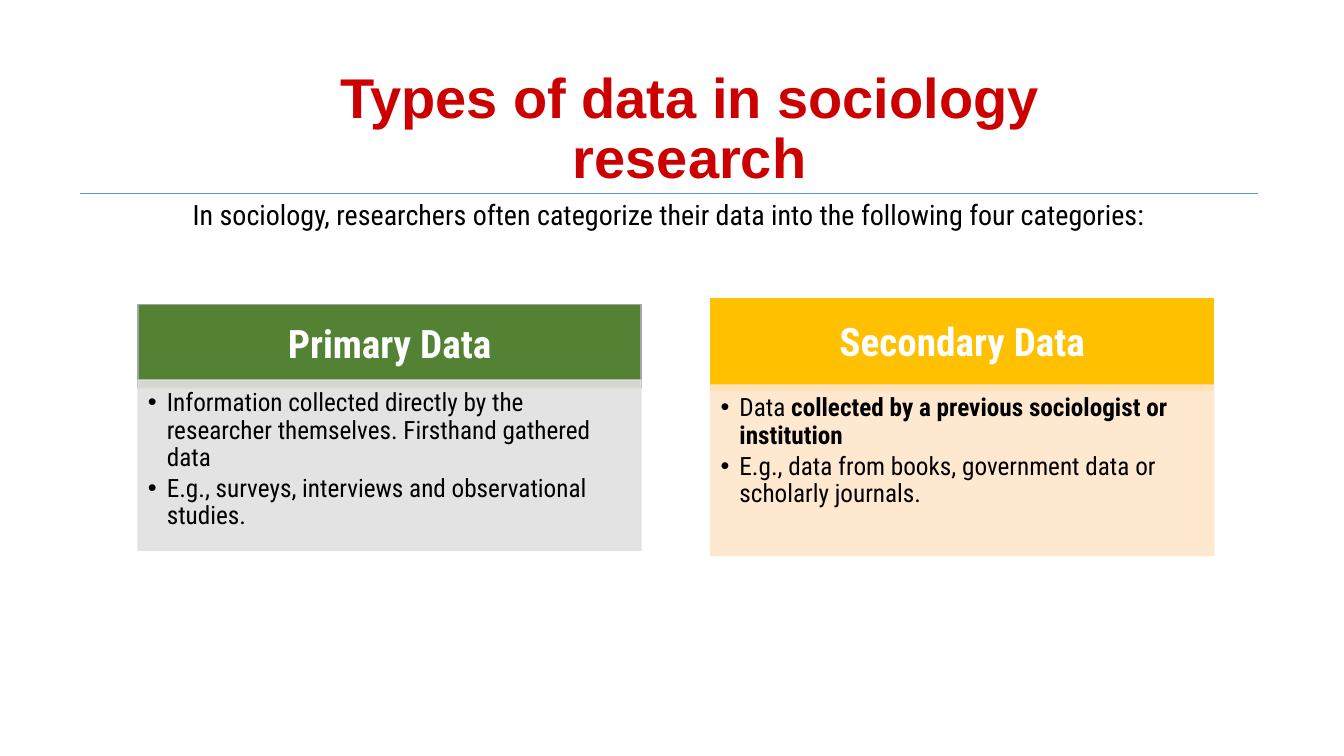
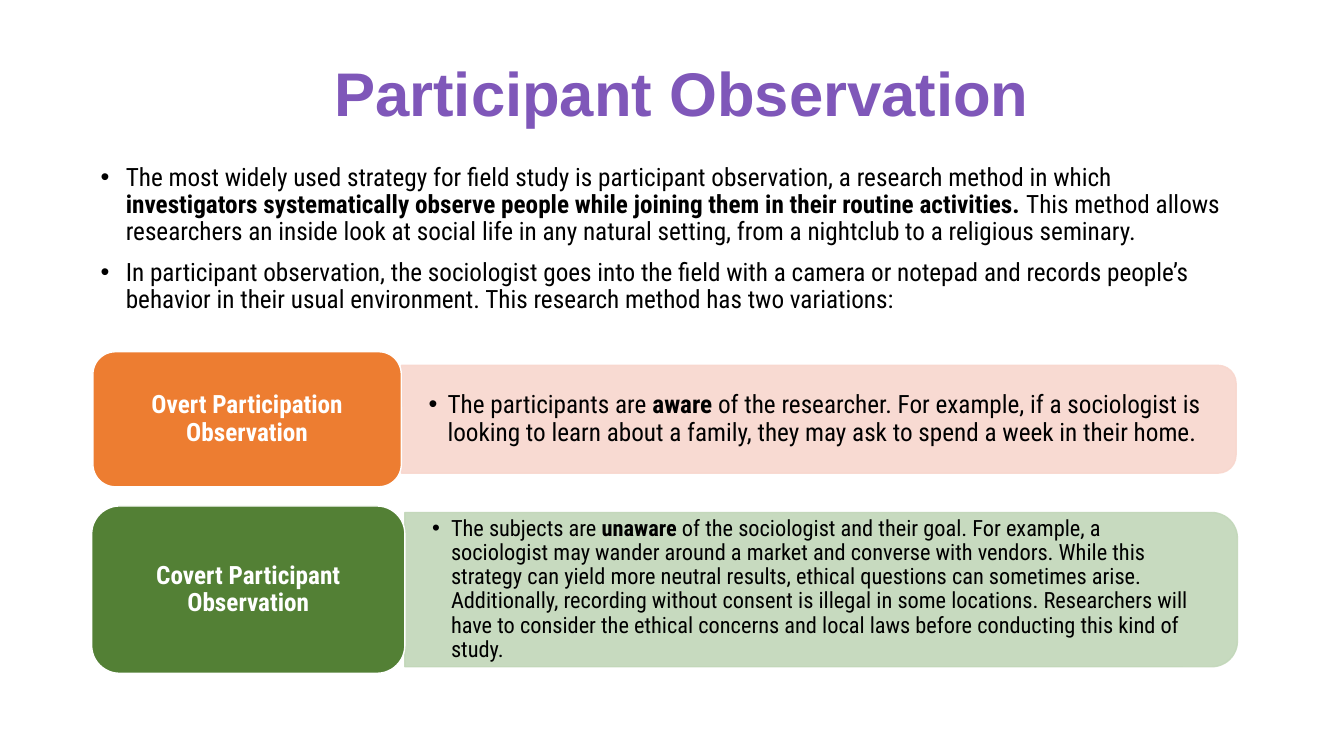
from lxml import etree
from pptx import Presentation
from pptx.dml.color import RGBColor
from pptx.enum.shapes import MSO_CONNECTOR, MSO_SHAPE
from pptx.enum.text import MSO_ANCHOR, PP_ALIGN
from pptx.oxml.ns import qn
from pptx.util import Pt

RECT = MSO_SHAPE.RECTANGLE
ROUNDED = MSO_SHAPE.ROUNDED_RECTANGLE
TWO_ROUNDED = MSO_SHAPE.ROUND_2_SAME_RECTANGLE
STRAIGHT = MSO_CONNECTOR.STRAIGHT
TOP, MIDDLE = MSO_ANCHOR.TOP, MSO_ANCHOR.MIDDLE
LEFT, CENTER = PP_ALIGN.LEFT, PP_ALIGN.CENTER

COLORS = {
    "white": "FFFFFF", "black": "000000", "red": "CC0000", "purple": "7F57B9",
    "rule": "5B9BD5", "green": "548235", "grey_edge": "A5A5A5",
    "grey": "E1E1E1", "gold": "FFC000", "cream": "FFE6CB",
    "orange": "ED7D31", "peach": "F8D7CE", "dark_green": "538035",
    "sage": "C2D7B9",
}
BODY_FONT, TITLE_FONT = "Roboto Condensed", "Arial"
CARD_W, CARD_BODY_H = 359.3, 121.7


def rgb(name):
    return RGBColor.from_string(COLORS[name])


def set_alpha(fill, percent):
    color = fill._xPr.find(qn("a:solidFill"))[0]
    etree.SubElement(color, qn("a:alpha")).set("val", str(percent * 1000))


def add_bullet(p, indent):
    pPr = p._p.get_or_add_pPr()
    pPr.set("marL", str(Pt(indent)))
    pPr.set("indent", str(-Pt(indent)))
    etree.SubElement(pPr, qn("a:buFont")).set("typeface", "Arial")
    etree.SubElement(pPr, qn("a:buChar")).set("char", "•")


def write(shape, paragraphs, size, color="black", font=BODY_FONT, bold=False,
          align=LEFT, anchor=TOP, insets=(7.2, 3.6, 7.2, 3.6),
          bullet=0, before=0, after=0):
    tf = shape.text_frame
    tf.word_wrap = True
    tf.vertical_anchor = anchor
    tf.margin_left, tf.margin_top, tf.margin_right, tf.margin_bottom = map(Pt, insets)
    for i, text in enumerate(paragraphs):
        p = tf.add_paragraph() if i else tf.paragraphs[0]
        p.alignment = align
        p.line_spacing = 0.9
        p.space_before, p.space_after = Pt(before), Pt(after)
        if bullet:
            add_bullet(p, bullet)
        for j, part in enumerate(text.split("**")):
            r = p.add_run()
            r.text = part
            r.font.name, r.font.size = font, Pt(size)
            r.font.bold = bold or j % 2 == 1
            r.font.color.rgb = rgb(color)


def add_box(s, x, y, w, h):
    return s.shapes.add_textbox(Pt(x), Pt(y), Pt(w), Pt(h))


def add_block(s, kind, x, y, w, h, fill, edge, alpha=None):
    sp = s.shapes.add_shape(kind, Pt(x), Pt(y), Pt(w), Pt(h))
    sp.shadow.inherit = False
    sp.fill.solid()
    sp.fill.fore_color.rgb = rgb(fill)
    sp.line.color.rgb = rgb(edge)
    sp.line.width = Pt(1)
    if alpha:
        set_alpha(sp.fill, alpha)
        set_alpha(sp.line.fill, alpha)
    return sp


def add_title(s, text, x, y, w, h, size, color):
    write(add_box(s, x, y, w, h), [text], size, color, TITLE_FONT, True,
          CENTER, MIDDLE, (12.5,) * 4)


def add_rule(s, x, y, w):
    line = s.shapes.add_connector(STRAIGHT, Pt(x), Pt(y), Pt(x + w), Pt(y))
    line.line.color.rgb = rgb("rule")
    line.line.width = Pt(1)
    etree.SubElement(line._element.spPr, qn("a:effectLst"))


def add_card(s, x, y, header_h, body_y, header, edge, body, title, points):
    head = add_block(s, RECT, x, y, CARD_W, header_h, header, edge)
    write(head, [title], 28, "white", bold=True, align=CENTER, anchor=MIDDLE,
          insets=(16, 9, 16, 9))
    panel = add_block(s, RECT, x, body_y, CARD_W, CARD_BODY_H, body, body, 90)
    write(panel, points, 18, insets=(7.2, 7.2, 10, 11.5), bullet=13.5, after=3)


def add_row(s, x, middle, label_w, label_h, panel_w, panel_h,
            label_fill, panel_fill, label, text, size):
    panel_x = x + label_w
    panel = add_block(s, TWO_ROUNDED, panel_x + (panel_w - panel_h) / 2,
                      middle - panel_w / 2, panel_h, panel_w,
                      panel_fill, panel_fill, 90)
    panel.rotation = 90
    write(add_box(s, panel_x, middle - panel_h / 2, panel_w - 5, panel_h),
          [text], size, anchor=MIDDLE, insets=(19.5, 3, 19.5, 3), bullet=13.5)
    tag = add_block(s, ROUNDED, x, middle - label_h / 2, label_w, label_h,
                    label_fill, "white")
    write(tag, [label], 18, "white", bold=True, align=CENTER, anchor=MIDDLE,
          insets=(5, 3, 5, 3))


def build_data_types(s):
    add_card(s, 98.6, 217.4, 59.8, 271.4, "green", "grey_edge", "grey",
             "Primary Data",
             ["Information collected directly by the researcher themselves. "
              "Firsthand gathered data",
              "E.g., surveys, interviews and observational studies."])
    add_card(s, 507.6, 213.1, 65.5, 275, "gold", "gold", "cream",
             "Secondary Data",
             ["Data **collected by a previous sociologist or institution**",
              "E.g., data from books, government data or scholarly journals."])
    add_title(s, "Types of data in sociology research",
              147, 62, 691, 62.6, 40, "red")
    add_rule(s, 57, 138.2, 841.7)
    write(add_box(s, 57, 138.2, 841.7, 71.3),
          ["In sociology, researchers often categorize their data into the "
           "following four categories:"],
          20, align=CENTER, insets=(5.8,) * 4)


def build_observation(s):
    add_title(s, "Participant Observation", 170, 42.5, 634.3, 53.3, 44, "purple")
    write(add_box(s, 64.8, 113.8, 828, 123),
          ["The most widely used strategy for field study is participant "
           "observation, a research method in which **investigators "
           "systematically observe people while joining them in their routine "
           "activities. **This method allows researchers an inside look at "
           "social life in any natural setting, from a nightclub to a "
           "religious seminary.",
           "In participant observation, the sociologist goes into the field "
           "with a camera or notepad and records people’s behavior in their "
           "usual environment. This research method has two variations:"],
          18, bullet=18, before=10)
    add_row(s, 66.4, 299.5, 220.3, 96.5, 596.2, 77, "orange", "peach",
            "Overt Participation Observation",
            "The participants are **aware** of the researcher. For example, if "
            "a sociologist is looking to learn about a family, they may ask to "
            "spend a week in their home.", 18)
    add_row(s, 65.5, 421.2, 223.7, 119.5, 594.7, 110.2, "dark_green", "sage",
            "Covert Participant Observation",
            "The subjects are **unaware** of the sociologist and their goal. "
            "For example, a sociologist may wander around a market and converse "
            "with vendors. While this strategy can yield more neutral results, "
            "ethical questions can sometimes arise. Additionally, recording "
            "without consent is illegal in some locations. Researchers will "
            "have to consider the ethical concerns and local laws before "
            "conducting this kind of study.", 16)


def main():
    prs = Presentation()
    prs.slide_width, prs.slide_height = Pt(960), Pt(540)
    for build in (build_data_types, build_observation):
        build(prs.slides.add_slide(prs.slide_layouts[6]))
    prs.save("out.pptx")


if __name__ == "__main__":
    main()
